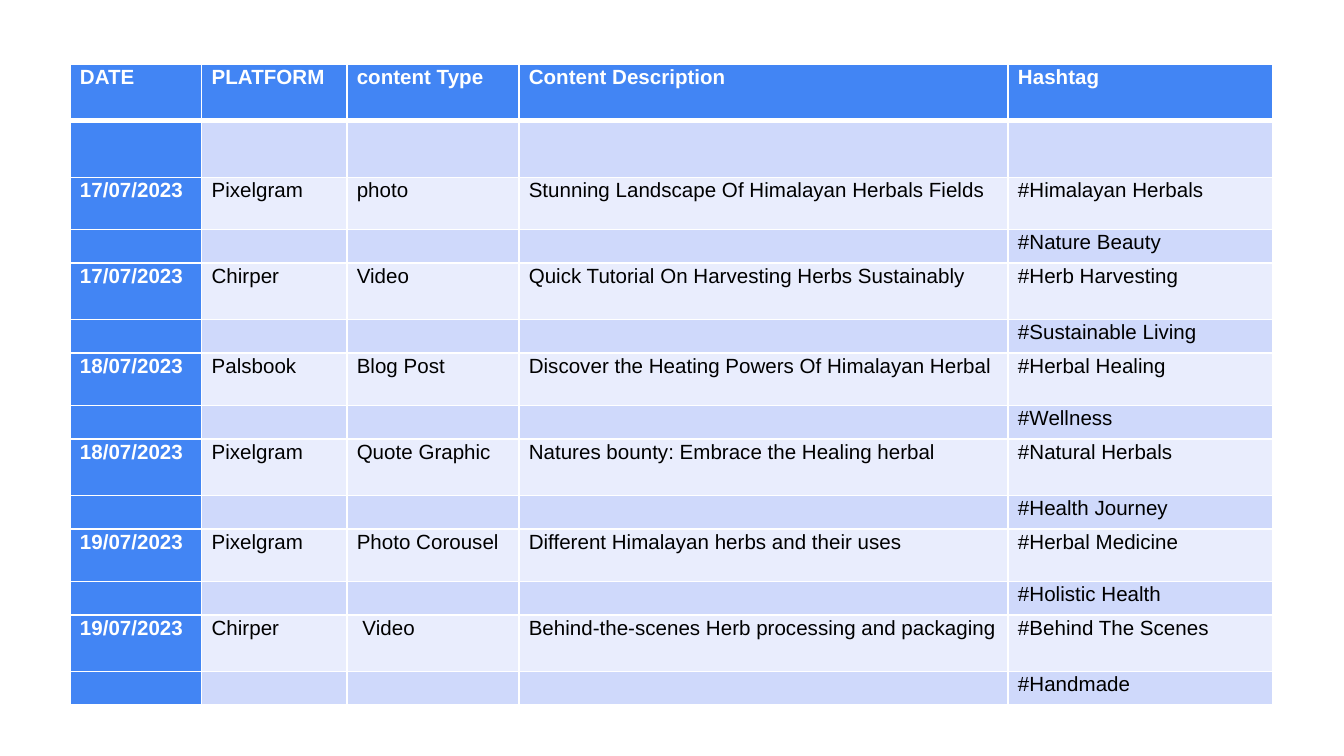
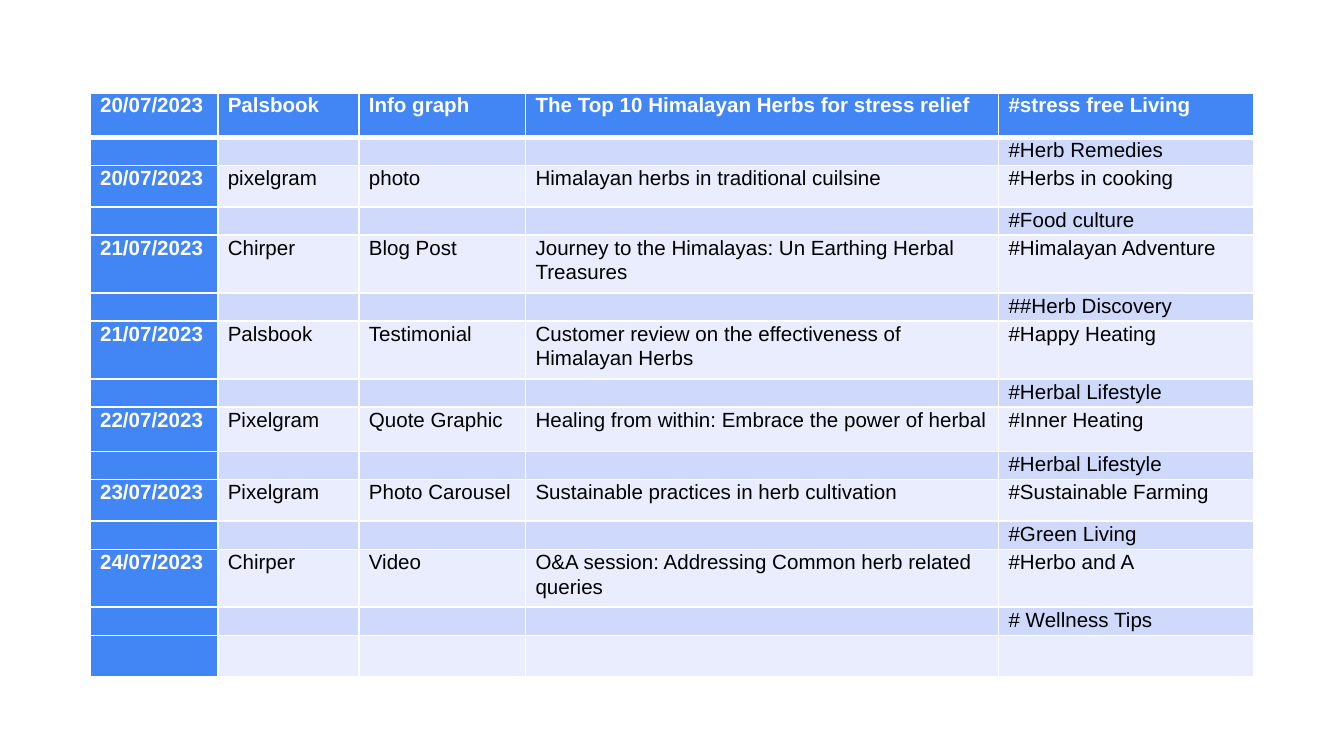
import pptx
import pptx.dml.color
import pptx.enum.text
import pptx.oxml
import pptx.oxml.ns
import pptx.util
import lxml.etree

Inches, Pt = pptx.util.Inches, pptx.util.Pt
COLORS = {"blue": "4285F4", "band": "CFD9FB", "pale": "E9EDFD",
          "white": "FFFFFF", "black": "000000"}
FONT, SIZE = "Arial", 11

# Each post takes two rows: the full line, then its second hashtag.
tables = [
    {
        "at": (0.52, 0.48),
        "cols": [0.98, 1.08, 1.28, 3.64, 1.97],
        "rows": [0.42, 0.42] + [0.39, 0.25, 0.42, 0.25] * 3,
        "justified": (2, 0),
        "posts": [
            ("DATE", "PLATFORM", "content Type", "Content Description", "Hashtag", ""),
            ("17/07/2023", "Pixelgram", "photo",
             "Stunning Landscape Of Himalayan Herbals Fields",
             "#Himalayan Herbals", "#Nature Beauty"),
            ("17/07/2023", "Chirper", "Video",
             "Quick Tutorial On Harvesting Herbs Sustainably",
             "#Herb Harvesting", "#Sustainable Living"),
            ("18/07/2023", "Palsbook", "Blog Post",
             "Discover the Heating Powers Of Himalayan Herbal",
             "#Herbal Healing", "#Wellness"),
            ("18/07/2023", "Pixelgram", "Quote Graphic",
             "Natures bounty: Embrace the Healing herbal",
             "#Natural Herbals", "#Health Journey"),
            ("19/07/2023", "Pixelgram", "Photo Corousel",
             "Different Himalayan herbs and their uses",
             "#Herbal Medicine", "#Holistic Health"),
            ("19/07/2023", "Chirper", " Video",
             "Behind-the-scenes Herb processing and packaging",
             "#Behind The Scenes", "#Handmade"),
        ],
    },
    {
        "at": (0.67, 0.69),
        "cols": [0.95, 1.05, 1.24, 3.52, 1.9],
        "rows": [0.33, 0.21, 0.31, 0.21, 0.43, 0.21, 0.43, 0.21,
                 0.33, 0.21, 0.31, 0.21, 0.43, 0.21, 0.31],
        "justified": None,
        "posts": [
            ("20/07/2023", "Palsbook", "Info graph",
             "The Top 10 Himalayan Herbs for stress relief",
             "#stress free Living", "#Herb Remedies"),
            ("20/07/2023", "pixelgram", "photo",
             "Himalayan herbs in traditional cuilsine",
             "#Herbs in cooking", "#Food culture"),
            ("21/07/2023", "Chirper", "Blog Post",
             "Journey to the Himalayas: Un Earthing Herbal Treasures",
             "#Himalayan Adventure", "##Herb Discovery"),
            ("21/07/2023", "Palsbook", "Testimonial",
             "Customer review on the effectiveness of Himalayan Herbs",
             "#Happy Heating", "#Herbal Lifestyle"),
            ("22/07/2023", "Pixelgram", "Quote Graphic",
             "Healing from within: Embrace the power of herbal",
             "#Inner Heating", "#Herbal Lifestyle"),
            ("23/07/2023", "Pixelgram", "Photo Carousel",
             "Sustainable practices in herb cultivation",
             "#Sustainable Farming", "#Green Living"),
            ("24/07/2023", "Chirper", "Video",
             "O&A session: Addressing Common herb related queries",
             "#Herbo and A", "# Wellness Tips"),
        ],
    },
]


def set_borders(cell, top, bottom):
    """Give the cell white borders, 1 pt at the sides."""
    tcPr = cell._tc.get_or_add_tcPr()
    for side, width in (("L", 1), ("R", 1), ("T", top), ("B", bottom)):
        ln = lxml.etree.SubElement(tcPr, pptx.oxml.ns.qn("a:ln" + side), w=str(Pt(width)))
        fill = lxml.etree.SubElement(ln, pptx.oxml.ns.qn("a:solidFill"))
        lxml.etree.SubElement(fill, pptx.oxml.ns.qn("a:srgbClr"), val=COLORS["white"])


def fill_cell(cell, text, color, strong):
    cell.margin_left = cell.margin_right = Pt(5.4)
    cell.margin_top = cell.margin_bottom = 0
    cell.fill.solid()
    cell.fill.fore_color.rgb = pptx.dml.color.RGBColor.from_string(COLORS[color])
    p = cell.text_frame.paragraphs[0]
    p.line_spacing = 1.07
    if not text:
        # Keeps an empty row from growing to the default text size
        lxml.etree.SubElement(p._p, pptx.oxml.ns.qn("a:endParaRPr"), sz=str(SIZE * 100))
        return
    r = p.add_run()
    r.text = text
    r.font.name, r.font.size, r.font.bold = FONT, Pt(SIZE), strong
    r.font.color.rgb = pptx.dml.color.RGBColor.from_string(
        COLORS["white" if strong else "black"])


prs = pptx.Presentation()
prs.slide_width = Inches(10)
prs.slide_height = prs.slide_width * 9 // 16

for t in tables:
    s = prs.slides.add_slide(prs.slide_layouts[6])
    left, top = t["at"]
    tbl = s.shapes.add_table(len(t["rows"]), len(t["cols"]), Inches(left), Inches(top),
                             Inches(sum(t["cols"])), Inches(sum(t["rows"]))).table
    tbl.first_col = True
    for col, width in zip(tbl.columns, t["cols"]):
        col.width = Inches(width)

    lines = []
    for *post, second_tag in t["posts"]:
        lines += [post, ["", "", "", "", second_tag]]
    lines += [[""] * 5] * (len(t["rows"]) - len(lines))

    for i, (height, line) in enumerate(zip(t["rows"], lines)):
        tbl.rows[i].height = Inches(height)
        for j, text in enumerate(line):
            strong = i == 0 or j == 0
            color = "blue" if strong else "band" if i % 2 else "pale"
            cell = tbl.cell(i, j)
            set_borders(cell, top=3 if i == 1 else 1, bottom=3 if i == 0 else 1)
            fill_cell(cell, text, color, strong)
            if (i, j) == t["justified"]:
                cell.text_frame.paragraphs[0].alignment = pptx.enum.text.PP_ALIGN.JUSTIFY

prs.save("out.pptx")
